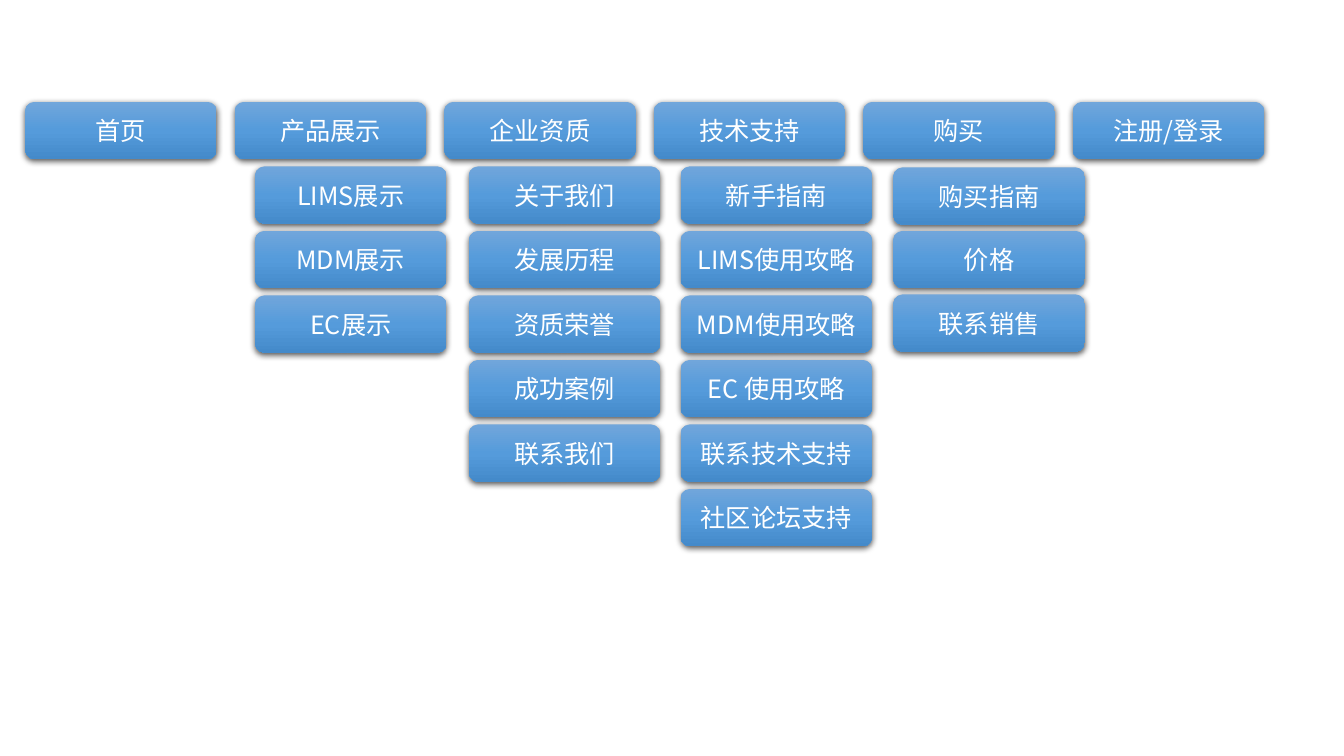
from copy import deepcopy

from lxml import etree
from pptx import Presentation
from pptx.dml.color import RGBColor
from pptx.enum import shapes, text
from pptx.oxml import ns, parse_xml
from pptx.util import Inches, Pt

FONT = "Noto Sans CJK SC"
GRADIENT = [(0, "71A6DB"), (0.5, "559BDB"), (1, "448ACA")]
WIDTH, HEIGHT = 1.9, 0.57
SHADOW = (
    f'<a:outerShdw {ns.nsdecls("a")} blurRad="{Pt(4.5)}" dist="{Pt(1.5)}" '
    'dir="5400000" algn="ctr" rotWithShape="0">'
    '<a:srgbClr val="000000"><a:alpha val="63000"/></a:srgbClr></a:outerShdw>'
)


def rgb(value):
    """Return the colour for a hex string."""
    return RGBColor.from_string(value)


def add_button(parent, label, left, top):
    """Add a rounded menu button with gradient, shadow and centred label."""
    sp = parent.add_shape(shapes.MSO_SHAPE.ROUNDED_RECTANGLE, Inches(left),
                          Inches(top), Inches(WIDTH), Inches(HEIGHT))
    sp.line.fill.background()
    sp.fill.gradient()
    sp.fill.gradient_angle = 270
    first = sp.element.spPr.find(".//" + ns.qn("a:gs"))
    first.addnext(deepcopy(first))
    for stop, (position, colour) in zip(sp.fill.gradient_stops, GRADIENT):
        stop.position = position
        stop.color.rgb = rgb(colour)
    sp.shadow.inherit = False
    sp.element.spPr.find(ns.qn("a:effectLst")).append(parse_xml(SHADOW))

    tf = sp.text_frame
    tf.word_wrap = True
    tf.vertical_anchor = text.MSO_ANCHOR.MIDDLE
    p = tf.paragraphs[0]
    p.alignment = text.PP_ALIGN.CENTER
    r = p.add_run()
    r.text = label
    r.font.size = Pt(18)
    r.font.name = FONT
    r.font.color.rgb = rgb("FFFFFF")
    etree.SubElement(r.font._element, ns.qn("a:ea"), typeface=FONT)


prs = Presentation()
prs.slide_width, prs.slide_height = Inches(13.33), Inches(7.5)
s = prs.slides.add_slide(prs.slide_layouts[6])

# Top menu
menu = ["首页", "产品展示", "企业资质", "技术支持", "购买", "注册/登录"]
for i, label in enumerate(menu):
    add_button(s.shapes, label, 0.25 + 2.078 * i, 1.01)

# Submenus: left, top, row pitch, labels
submenus = [
    (2.53, 1.65, 0.64, ["LIMS展示", "MDM展示", "EC展示"]),
    (4.65, 1.65, 0.64, ["关于我们", "发展历程", "资质荣誉", "成功案例", "联系我们"]),
    (6.75, 1.65, 0.64, ["新手指南", "LIMS使用攻略", "MDM使用攻略",
                        "EC 使用攻略", "联系技术支持", "社区论坛支持"]),
    (8.86, 1.66, 0.63, ["购买指南", "价格", "联系销售"]),
]
for left, top, pitch, labels in submenus:
    group = s.shapes.add_group_shape()
    for row, label in enumerate(labels):
        add_button(group.shapes, label, left, top + pitch * row)

prs.save("out.pptx")
